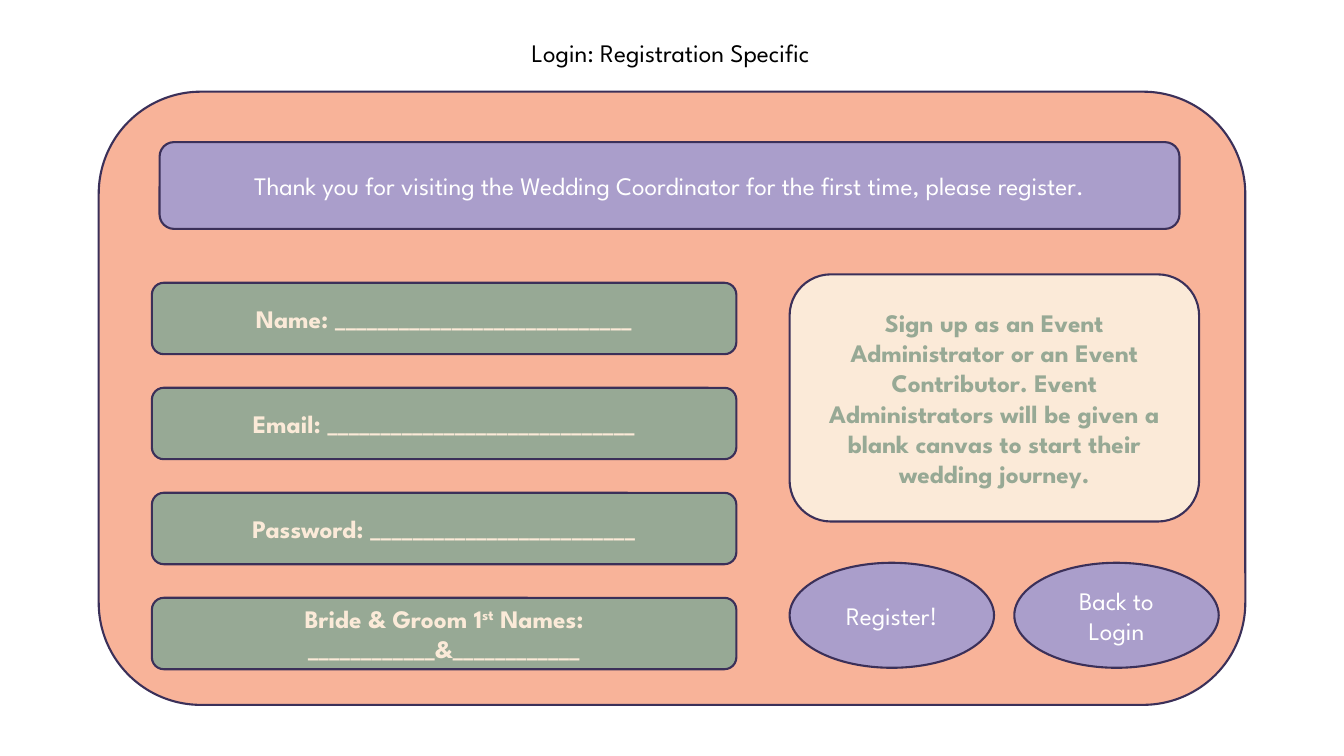
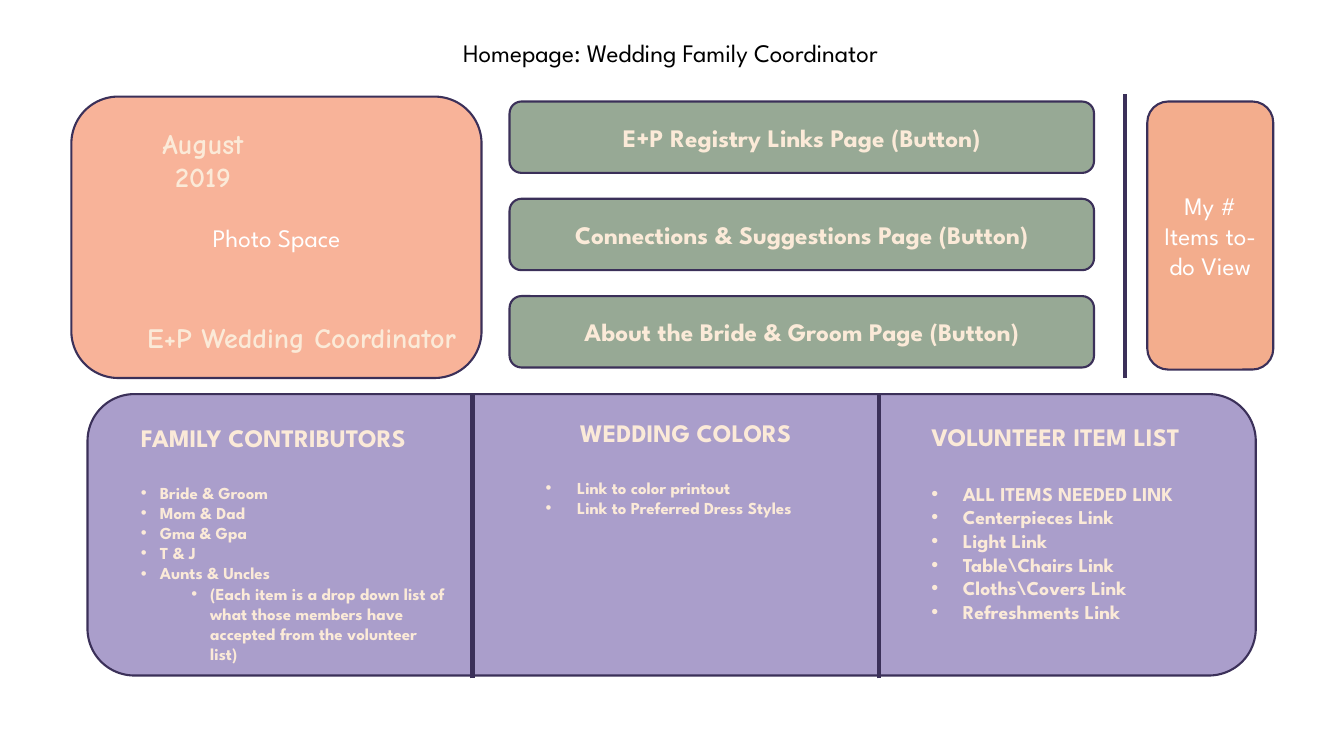
from dataclasses import dataclass

import pptx
import pptx.dml.color
import pptx.enum.shapes
import pptx.enum.text
import pptx.oxml.ns
import pptx.util
from lxml import etree

Pt = pptx.util.Pt
SHAPE = pptx.enum.shapes.MSO_SHAPE
ALIGN = pptx.enum.text.PP_ALIGN
ANCHOR = pptx.enum.text.MSO_ANCHOR
qn = pptx.oxml.ns.qn


# Shared look
@dataclass(frozen=True)
class Theme:
    peach: str = "F8B399"
    apricot: str = "F3AD8D"
    lilac: str = "AA9ECB"
    sage: str = "97A995"
    cream: str = "FBEAD8"
    plum: str = "3B3059"
    white: str = "FFFFFF"
    black: str = "000000"
    font: str = "League Spartan"
    script_font: str = "Comic Neue"
    text_size: float = 18
    script_size: float = 20
    list_size: float = 12
    large_list_size: float = 14
    outline: float = 1.5
    divider: float = 3


THEME = Theme()
TITLE_BOX = (54, 23, 850, 29)
BAR_SIZE = (417.5, 51)


def rgb(code):
    return pptx.dml.color.RGBColor.from_string(code)


def points(box):
    return [Pt(length) for length in box]


# Text
def style_paragraph(paragraph, color, size=THEME.text_size, bold=False,
                    font=THEME.font, align=ALIGN.CENTER):
    paragraph.alignment = align
    for run in paragraph.runs:
        run.font.name = font
        run.font.size = Pt(size)
        run.font.bold = bold
        run.font.color.rgb = rgb(color)


def set_frame(frame, anchor=ANCHOR.TOP):
    frame.word_wrap = True
    frame.auto_size = pptx.enum.text.MSO_AUTO_SIZE.NONE
    frame.vertical_anchor = anchor


def place(placeholder, box):
    placeholder.left, placeholder.top, placeholder.width, placeholder.height = points(box)
    set_frame(placeholder.text_frame)


def set_bullet(paragraph, margin, hanging, char=None):
    props = paragraph._p.get_or_add_pPr()
    props.set("marL", str(Pt(margin)))
    props.set("indent", str(-Pt(hanging)))
    if char:
        etree.SubElement(props, qn("a:buFont")).set("typeface", "Arial")
        etree.SubElement(props, qn("a:buChar")).set("char", char)
    else:
        etree.SubElement(props, qn("a:buNone"))


def add_script_text(slide, box, text):
    frame = slide.shapes.add_textbox(*points(box)).text_frame
    set_frame(frame)
    frame.text = text
    style_paragraph(frame.paragraphs[0], THEME.cream, THEME.script_size,
                    True, THEME.script_font)


def fill_list(slide, index, box, heading, items, size, hanging,
              heading_align=ALIGN.LEFT):
    """Fill a body placeholder; items are (level, text) pairs."""
    body = slide.placeholders[index]
    place(body, box)
    frame = body.text_frame
    frame.text = "\n".join([heading] + [text for _, text in items])
    for paragraph in frame.paragraphs:
        paragraph.space_before = paragraph.space_after = Pt(0)
    title, *entries = frame.paragraphs
    title.space_after = Pt(21.5)
    style_paragraph(title, THEME.cream, bold=True, align=heading_align)
    set_bullet(title, 0, 0)
    for entry, (level, _) in zip(entries, items):
        entry.level = level
        style_paragraph(entry, THEME.cream, size, True, align=ALIGN.LEFT)
        set_bullet(entry, hanging + 36 * level, hanging, "•")
    slide.shapes.element.append(body.element)  # bring in front of the panel


# Shapes
def add_block(slide, box, fill, text="", color=THEME.white, bold=False,
              kind=SHAPE.ROUNDED_RECTANGLE):
    block = slide.shapes.add_shape(kind, *points(box))
    block.shadow.inherit = False
    block.fill.solid()
    block.fill.fore_color.rgb = rgb(fill)
    block.line.color.rgb = rgb(THEME.plum)
    block.line.width = Pt(THEME.outline)
    if text:
        set_frame(block.text_frame, ANCHOR.MIDDLE)
        block.text_frame.text = text
        style_paragraph(block.text_frame.paragraphs[0], color, bold=bold)
    return block


def add_bars(slide, left, top, pitch, labels):
    return [add_block(slide, (left, top + row * pitch, *BAR_SIZE), THEME.sage,
                      label, THEME.cream, bold=True)
            for row, label in enumerate(labels)]


def add_divider(slide, x, bottom, top):
    divider = slide.shapes.add_connector(
        pptx.enum.shapes.MSO_CONNECTOR.STRAIGHT, *points((x, bottom, x, top)))
    divider.line.color.rgb = rgb(THEME.plum)
    divider.line.width = Pt(THEME.divider)
    etree.SubElement(divider.element.spPr, qn("a:effectLst"))


def add_slide(deck, layout_name, title):
    slide = deck.slides.add_slide(deck.slide_layouts.get_by_name(layout_name))
    place(slide.shapes.title, TITLE_BOX)
    slide.shapes.title.text_frame.text = title
    style_paragraph(slide.shapes.title.text_frame.paragraphs[0], THEME.black)
    return slide


# Slides
def build_registration(deck):
    slide = add_slide(deck, "Title Only", "Login: Registration Specific")
    add_block(slide, (70.5, 65.5, 819, 438), THEME.peach)
    add_block(slide, (114, 101.5, 728.5, 62), THEME.lilac,
              "Thank you for visiting the Wedding Coordinator for the first time, "
              "please register.")

    # Form fields
    blanks = (("Name", 28), ("Email", 29), ("Password", 25))
    labels = [f"{name}: {'_' * length}" for name, length in blanks]
    fields = add_bars(slide, 108.5, 202, 75, labels + ["Bride & Groom 1"])
    couple = fields[-1].text_frame.paragraphs[0]
    ordinal, names = couple.add_run(), couple.add_run()
    ordinal.text = "st"
    names.text = f" Names: {'_' * 12}&{'_' * 12}"
    style_paragraph(couple, THEME.cream, bold=True)
    ordinal._r.get_or_add_rPr().set("baseline", "30000")

    # Explanation and buttons
    add_block(slide, (564, 196, 292.5, 176.5), THEME.cream,
              "Sign up as an Event Administrator or an Event Contributor. "
              "Event Administrators will be given a blank canvas to start "
              "their wedding journey.", THEME.sage, bold=True)
    for column, label in enumerate(("Register!", "Back to Login")):
        add_block(slide, (564 + column * 160.5, 402, 146, 75), THEME.lilac,
                  label, kind=SHAPE.OVAL)


def build_homepage(deck):
    slide = add_slide(deck, "Comparison", "Homepage: Wedding Family Coordinator")

    # Photo area
    add_block(slide, (51, 69, 293, 201), THEME.peach, "Photo Space")
    add_script_text(slide, (87, 86.5, 115.9, 55.5), "August 2019")
    add_script_text(slide, (93.5, 225.5, 244, 31.5), "E+P Wedding Coordinator")

    # Page buttons and to-do view
    add_bars(slide, 364, 72.5, 69.5, [
        f"{page} Page (Button)" for page in (
            "E+P Registry Links", "Connections & Suggestions",
            "About the Bride & Groom")])
    add_divider(slide, 803.5, 270, 67)
    add_block(slide, (819.5, 72.5, 90, 191.5), THEME.apricot,
              "My # Items to-do View")

    # Panel with three lists
    add_block(slide, (62.5, 281.5, 834.5, 201), THEME.lilac)
    for x in (337.5, 628):
        add_divider(slide, x, 484.5, 281.5)
    family = ("Bride & Groom", "Mom & Dad", "Gma & Gpa", "T & J", "Aunts & Uncles")
    fill_list(slide, 1, (93.5, 298, 232, 181.5), "FAMILY CONTRIBUTORS",
              [(0, member) for member in family]
              + [(1, "(Each item is a drop down list of what those members have "
                     "accepted from the volunteer list)")],
              THEME.list_size, 13.5)
    fill_list(slide, 2, (382.5, 294.5, 214.5, 80), "WEDDING COLORS",
              [(0, "Link to color printout"), (0, "Link to Preferred Dress Styles")],
              THEME.list_size, 22.5, ALIGN.CENTER)
    volunteer = ("ALL ITEMS NEEDED LINK", "Centerpieces Link", "Light Link",
                 "Table\\Chairs Link", "Cloths\\Covers Link", "Refreshments Link")
    fill_list(slide, 3, (658, 297.5, 229.5, 152.5), "VOLUNTEER ITEM LIST",
              [(0, item) for item in volunteer], THEME.large_list_size, 22.5)
    unused = slide.placeholders[4].element
    unused.getparent().remove(unused)


def main():
    deck = pptx.Presentation()
    deck.slide_width, deck.slide_height = Pt(960), Pt(540)
    build_registration(deck)
    build_homepage(deck)
    deck.save("out.pptx")


if __name__ == "__main__":
    main()
